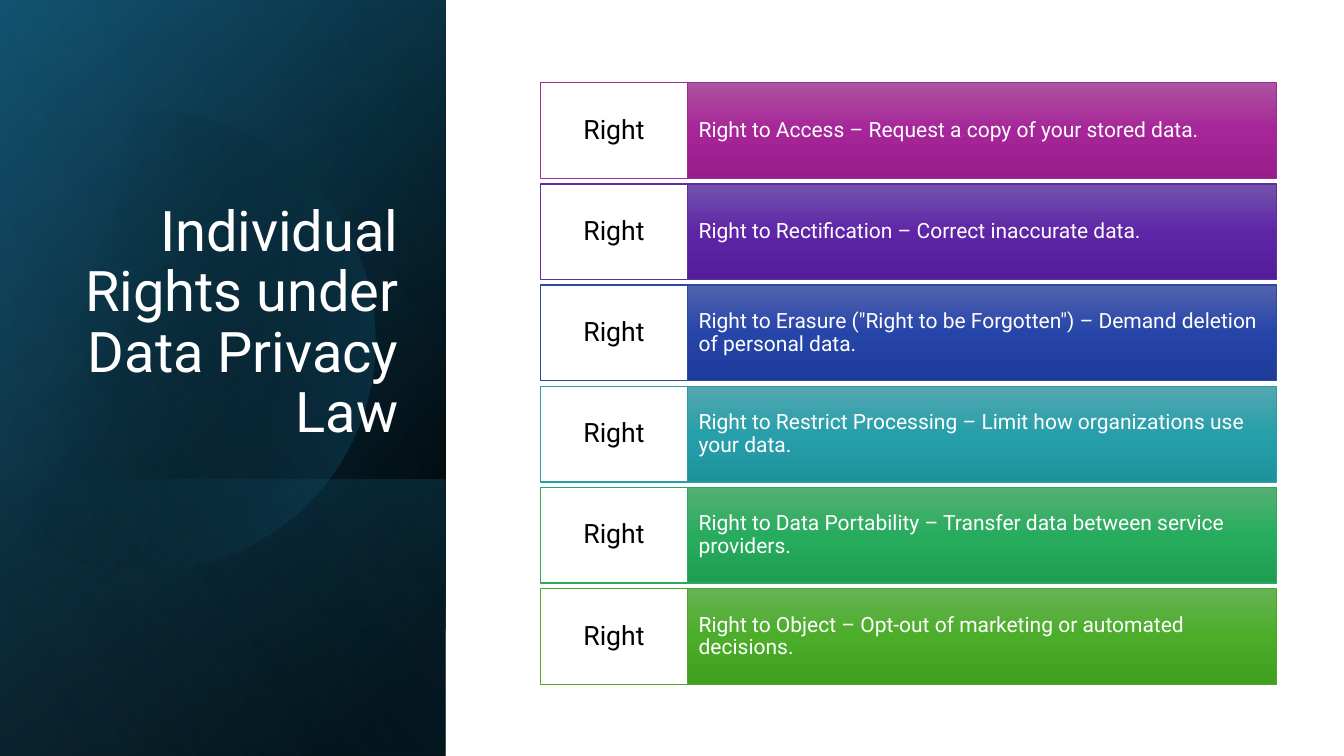
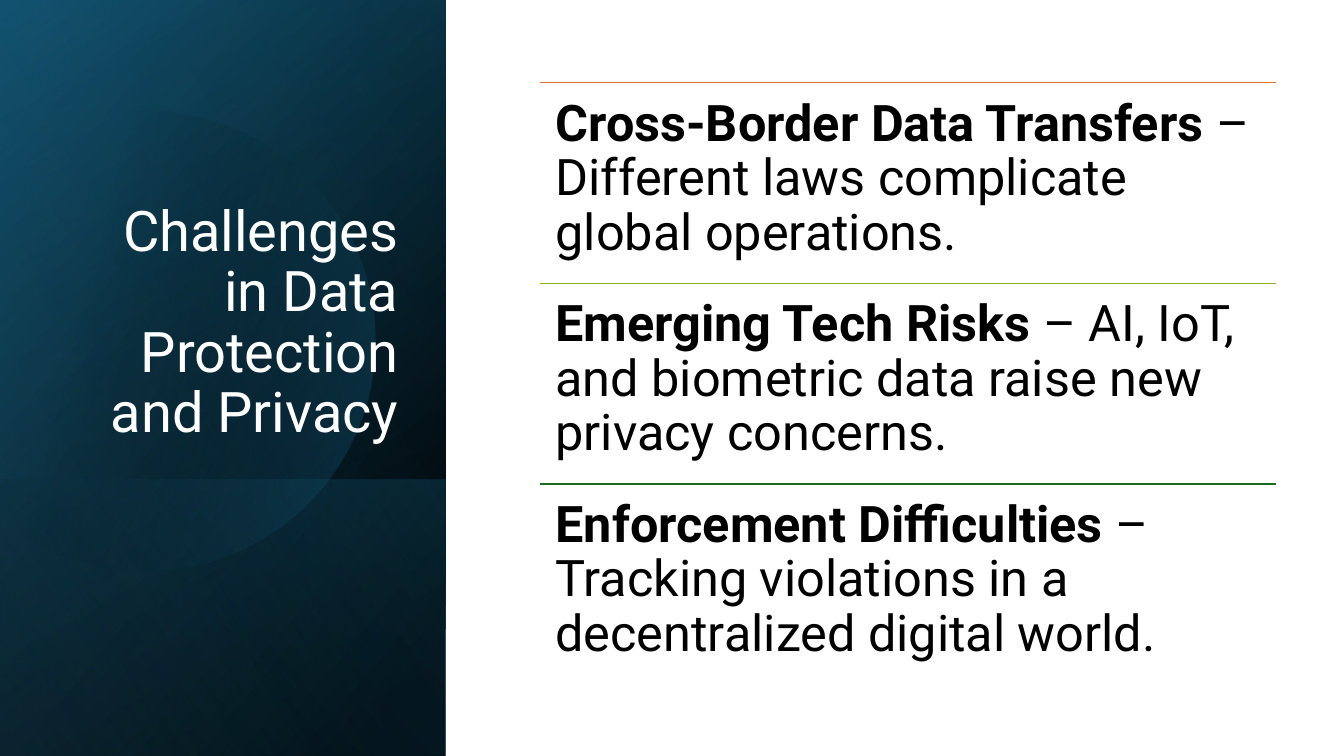
from math import acos, cos, sin

from lxml import etree
from pptx import Presentation
from pptx.dml.color import RGBColor
from pptx.enum.shapes import MSO_CONNECTOR as CONN, MSO_SHAPE as SHAPE
from pptx.enum.text import MSO_ANCHOR as ANCHOR, PP_ALIGN as ALIGN
from pptx.oxml.ns import qn
from pptx.util import Inches, Pt

LEFT, TOP, WIDTH = 5.36, 0.82, 7.3
BAR_H, BAR_STEP, LABEL_W = 0.95, 1.004, 1.46
POINT_H = 1.99

RIGHTS = [
    ("Right to Access – Request a copy of your stored data.",
     "A02B93", ("AC53A0", "A62598", "991C8B")),
    ("Right to Rectification – Correct inaccurate data.",
     "5F2CA1", ("7353AD", "5E26A7", "531C9A")),
    ('Right to Erasure ("Right to be Forgotten") – Demand deletion of personal data.',
     "2C49A3", ("5363AF", "2645A9", "1D3B9B")),
    ("Right to Restrict Processing – Limit how organizations use your data.",
     "2D9AA4", ("53A7B0", "279FAA", "1D929D")),
    ("Right to Data Portability – Transfer data between service providers.",
     "2DA65F", ("54B173", "27AC5E", "1E9E52")),
    ("Right to Object – Opt-out of marketing or automated decisions.",
     "4EA72E", ("66B354", "4BAD28", "409F1E")),
]

CHALLENGES = [
    ("Cross-Border Data Transfers",
     " – Different laws complicate global operations.", "E97132"),
    ("Emerging Tech Risks",
     " – AI, IoT, and biometric data raise new privacy concerns.", "8EB21E"),
    ("Enforcement Difficulties",
     " – Tracking violations in a decentralized digital world.", "196B24"),
]


def rgb(value):
    return RGBColor.from_string(value)


def write(sp, *parts, size, color="000000", align=ALIGN.LEFT,
          anchor=ANCHOR.MIDDLE, inset=(0.1, 0.05)):
    tf = sp.text_frame
    tf.word_wrap = True
    tf.vertical_anchor = anchor
    tf.margin_left = tf.margin_right = Inches(inset[0])
    tf.margin_top = tf.margin_bottom = Inches(inset[1])
    p = tf.paragraphs[0]
    p.alignment = align
    p.line_spacing = 0.9
    for text, bold in parts:
        r = p.add_run()
        r.text = text
        r.font.name = Deck.FONT
        r.font.size = Pt(size)
        r.font.bold = bold
        r.font.color.rgb = rgb(color)


class Deck:
    FONT = "Roboto"

    def __init__(self):
        self.prs = Presentation()
        self.prs.slide_width = Inches(13.33)
        self.prs.slide_height = Inches(7.5)

    def slide(self, title):
        self.s = self.prs.slides.add_slide(self.prs.slide_layouts[6])
        self.panel()
        write(self.text_box(0.64, 1.84, 3.41, 2.62), (title, False), size=40,
              color="FFFFFF", align=ALIGN.RIGHT, anchor=ANCHOR.BOTTOM)

    def panel(self):
        full = (-1.54, 1.54, 7.5, 4.42)
        self.layer(full, [(8, "000000", 100), (100, "104862", 100)], 50)
        self.layer(full, [(0, "000000", 0), (99, "156082", 46)], 30)
        self.layer((0.84, 3.92, 2.74, 4.42),
                   [(2, "156082", 29), (100, "000000", 30)], 130)
        self.disc(1.44, 3.38, 2.28, -0.15)
        self.layer(full, [(0, "000000", 0), (99, "46B1E1", 11)], 120)

    def layer(self, box, stops, angle):
        sp = self.rect(*box)
        sp.rotation = 90
        sp._element.spPr.find(qn("a:xfrm")).set("flipH", "1")
        self.gradient(sp, stops, angle)

    def disc(self, cx, cy, radius, cut_x, steps=120):
        end = acos((cut_x - cx) / radius)
        angles = [end * (2 * i / steps - 1) for i in range(steps + 1)]
        points = [(Inches(cx + radius * cos(a)), Inches(cy + radius * sin(a)))
                  for a in angles]
        builder = self.s.shapes.build_freeform(*points[0])
        builder.add_line_segments(points[1:], close=True)
        sp = builder.convert_to_shape()
        sp.shadow.inherit = False
        sp.line.fill.background()
        self.gradient(sp, [(29, "000000", 0), (100, "156082", 43)], 14)

    def rect(self, x, y, w, h, fill=None, line=None):
        sp = self.s.shapes.add_shape(
            SHAPE.RECTANGLE, Inches(x), Inches(y), Inches(w), Inches(h))
        sp.shadow.inherit = False
        if fill:
            sp.fill.solid()
            sp.fill.fore_color.rgb = rgb(fill)
        if line:
            sp.line.color.rgb = rgb(line)
            sp.line.width = Pt(1)
        else:
            sp.line.fill.background()
        return sp

    def gradient(self, sp, stops, angle):
        sp.fill.gradient()
        grad = sp._element.spPr.find(qn("a:gradFill"))
        grad.find(qn("a:lin")).set("ang", str(angle * 60000))
        gs_list = grad.find(qn("a:gsLst"))
        for gs in list(gs_list):
            gs_list.remove(gs)
        for pos, color, opacity in stops:
            gs = etree.SubElement(gs_list, qn("a:gs"), pos=str(pos * 1000))
            clr = etree.SubElement(gs, qn("a:srgbClr"), val=str(rgb(color)))
            if opacity < 100:
                etree.SubElement(clr, qn("a:alpha"), val=str(opacity * 1000))

    def text_box(self, x, y, w, h):
        return self.s.shapes.add_textbox(
            Inches(x), Inches(y), Inches(w), Inches(h))

    def rule(self, x, y, w, color):
        line = self.s.shapes.add_connector(
            CONN.STRAIGHT, Inches(x), Inches(y), Inches(x + w), Inches(y))
        line.line.color.rgb = rgb(color)
        line.line.width = Pt(1)
        etree.SubElement(line._element.spPr, qn("a:effectLst"))

    def right_row(self, y, text, line, colors):
        bar = self.rect(LEFT + LABEL_W, y, WIDTH - LABEL_W, BAR_H, line=line)
        self.gradient(bar, [(i * 50, c, 100) for i, c in enumerate(colors)], 90)
        write(bar, (text, False), size=15, color="FFFFFF", inset=(0.11, 0.24))
        label = self.rect(LEFT, y, LABEL_W, BAR_H, "FFFFFF", line)
        write(label, ("Right", False), size=19, align=ALIGN.CENTER,
              inset=(0.08, 0.09))

    def challenge(self, y, heading, detail, color):
        self.rule(LEFT, y, WIDTH, color)
        write(self.text_box(LEFT, y, WIDTH, POINT_H), (heading, True),
              (detail, False), size=36, anchor=ANCHOR.TOP, inset=(0.15, 0.15))


def main():
    deck = Deck()
    deck.slide("Individual Rights under Data Privacy Law")
    for i, row in enumerate(RIGHTS):
        deck.right_row(TOP + i * BAR_STEP, *row)
    deck.slide("Challenges in Data Protection and Privacy")
    for i, row in enumerate(CHALLENGES):
        deck.challenge(TOP + i * POINT_H, *row)
    deck.prs.save("out.pptx")


if __name__ == "__main__":
    main()
